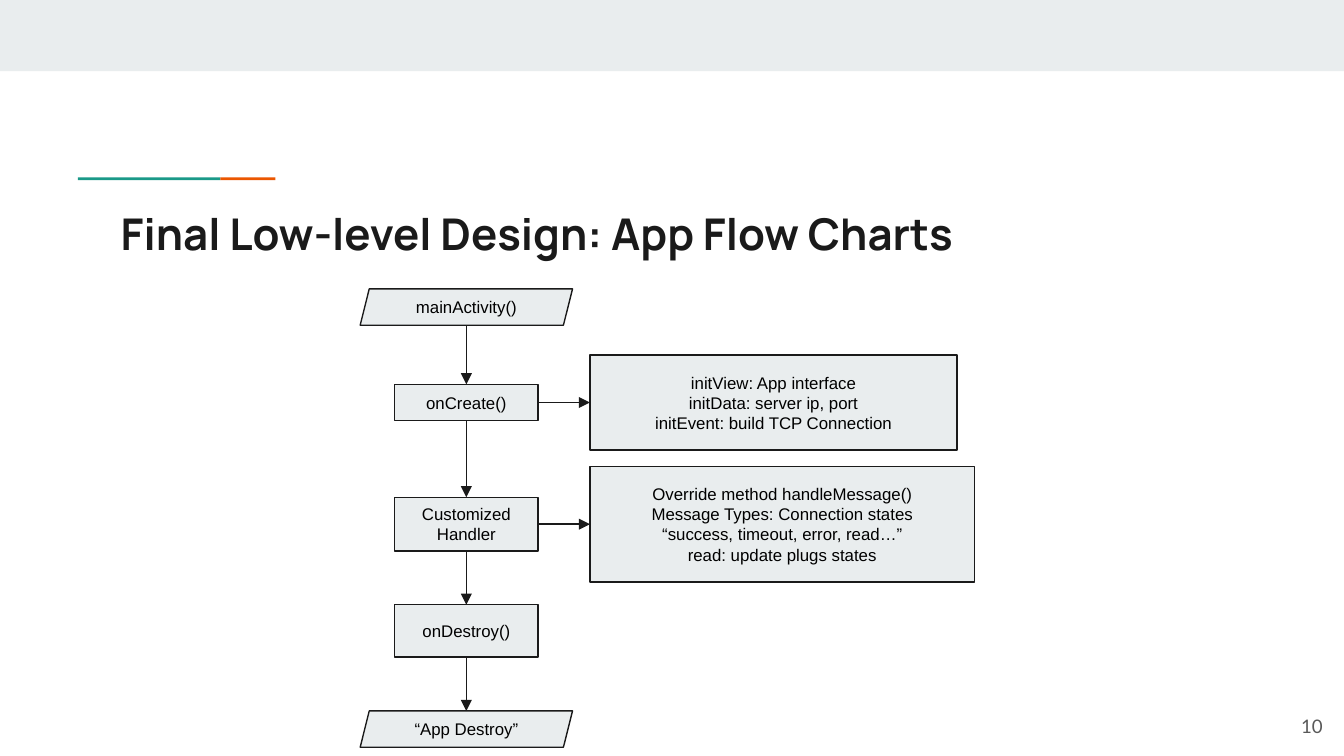
from dataclasses import dataclass
from lxml import etree
from pptx import Presentation
from pptx.dml.color import RGBColor
from pptx.enum.shapes import MSO_CONNECTOR, MSO_SHAPE
from pptx.enum.text import MSO_ANCHOR, PP_ALIGN
from pptx.oxml.ns import qn
from pptx.util import Inches, Pt


@dataclass(frozen=True)
class Theme:
    panel: str = "E9EDEE"
    ink: str = "1A1A1A"
    black: str = "000000"
    grey: str = "595959"
    teal: str = "1A9988"
    orange: str = "EB5600"
    title_size: float = 23.4
    number_size: float = 10
    node_size: float = 9
    line_width: float = 0.75


THEME = Theme()


def add_box(s, box, fill, kind=MSO_SHAPE.RECTANGLE, line=None):
    sp = s.shapes.add_shape(kind, *map(Inches, box))
    sp.shadow.inherit = False
    sp.fill.solid()
    sp.fill.fore_color.rgb = RGBColor.from_string(fill)
    if line:
        sp.line.color.rgb = RGBColor.from_string(line)
        sp.line.width = Pt(THEME.line_width)
    else:
        sp.line.fill.background()
    return sp


def write(sp, lines, font, size, color, align, anchor=MSO_ANCHOR.MIDDLE, bold=False):
    tf = sp.text_frame
    tf.word_wrap = True
    tf.vertical_anchor = anchor
    tf.margin_left = tf.margin_right = tf.margin_top = tf.margin_bottom = Inches(0.1)
    for i, text in enumerate(lines):
        p = tf.add_paragraph() if i else tf.paragraphs[0]
        p.alignment = align
        r = p.add_run()
        r.text = text
        r.font.name = font
        r.font.size = Pt(size)
        r.font.bold = bold
        r.font.color.rgb = RGBColor.from_string(color)


def add_node(s, box, lines, kind=MSO_SHAPE.RECTANGLE):
    sp = add_box(s, box, THEME.panel, kind, THEME.ink)
    write(sp, lines, "Arial", THEME.node_size, THEME.black, PP_ALIGN.CENTER)
    return sp


def add_arrow(s, start, end, begin_site, end_site):
    if begin_site == 3:
        x1, y1 = start.left + start.width, start.top + start.height // 2
        x2, y2 = end.left, y1
    else:
        x1, y1 = start.left + start.width // 2, start.top + start.height
        x2, y2 = x1, end.top
    c = s.shapes.add_connector(MSO_CONNECTOR.STRAIGHT, x1, y1, x2, y2)
    if start.auto_shape_type == MSO_SHAPE.RECTANGLE:
        c.begin_connect(start, begin_site)
    if end.auto_shape_type == MSO_SHAPE.RECTANGLE:
        c.end_connect(end, end_site)
    c.line.color.rgb = RGBColor.from_string(THEME.ink)
    c.line.width = Pt(THEME.line_width)
    ln = c.line._get_or_add_ln()
    etree.SubElement(ln, qn("a:tailEnd"), type="triangle")
    etree.SubElement(c._element.spPr, qn("a:effectLst"))


def add_header(s, box):
    x, y, w, h = box
    add_box(s, (x, y, w, 0.53), THEME.panel)
    add_box(s, (x + 0.58, y + 1.32, 1.06, 0.02), THEME.teal)
    add_box(s, (x + 1.64, y + 1.32, 0.41, 0.02), THEME.orange)
    title = s.shapes.add_textbox(*map(Inches, (x + 0.8, y + 1.44, 8.41, h - 1.44)))
    write(title, ["Final Low-level Design: App Flow Charts"], "Manrope",
          THEME.title_size, THEME.ink, PP_ALIGN.LEFT, MSO_ANCHOR.TOP, True)


def add_flow(s, box):
    x, y, w, h = box
    end_w, step_w, end_h = 1.58, 1.07, 0.27
    step_x = x + (end_w - step_w) / 2
    note_x = x + 1.71

    def add_terminal(top, text):
        return add_node(s, (x, top, end_w, end_h), [text], MSO_SHAPE.PARALLELOGRAM)

    steps = [add_terminal(y, "mainActivity()")]
    for dy, height, text in (
        (0.71, 0.27, "onCreate()"),
        (1.55, 0.4, "Customized Handler"),
        (2.35, 0.39, "onDestroy()"),
    ):
        steps.append(add_node(s, (step_x, y + dy, step_w, height), [text]))
    steps.append(add_terminal(y + h - end_h, "“App Destroy”"))
    for start, end in zip(steps, steps[1:]):
        add_arrow(s, start, end, 2, 0)

    notes = (
        (steps[1], 0.49, w - 1.84, 0.71,
         ["initView: App interface", "initData: server ip, port",
          "initEvent: build TCP Connection"]),
        (steps[2], 1.32, w - 1.71, 0.86,
         ["Override method handleMessage()", "Message Types: Connection states",
          "“success, timeout, error, read…”", "read: update plugs states"]),
    )
    for step, dy, width, height, lines in notes:
        note = add_node(s, (note_x, y + dy, width, height), lines)
        add_arrow(s, step, note, 3, 1)


def add_page_number(s, box):
    sp = s.shapes.add_textbox(*map(Inches, box))
    write(sp, ["10"], "Lato", THEME.number_size, THEME.grey, PP_ALIGN.RIGHT)


def main():
    prs = Presentation()
    prs.slide_width = Inches(10)
    prs.slide_height = Inches(10 * 9 / 16)
    s = prs.slides.add_slide(prs.slide_layouts[6])
    add_header(s, (0, 0, 10, 2.03))
    add_flow(s, (2.68, 2.15, 4.57, 3.41))
    add_page_number(s, (9.34, 5.19, 0.6, 0.43))
    prs.save("out.pptx")


if __name__ == "__main__":
    main()
